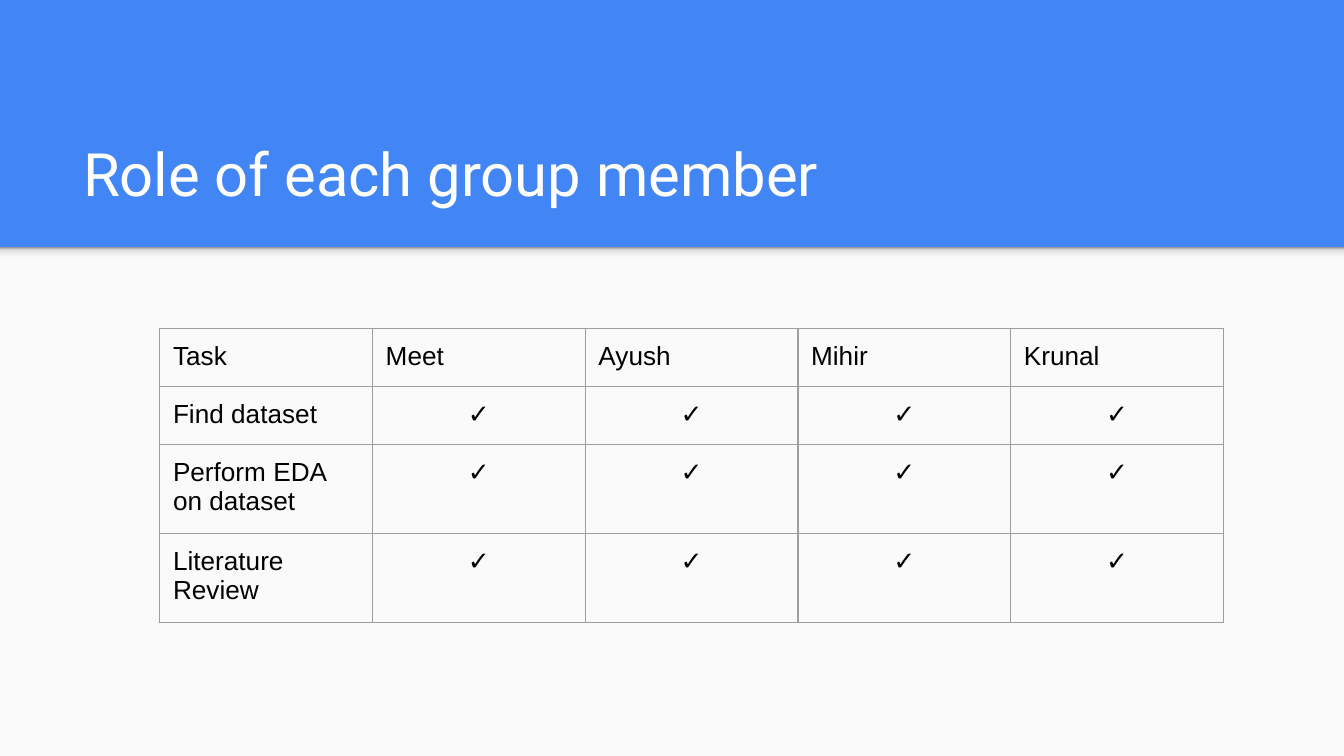
import copy

import pptx
import pptx.dml.color
import pptx.enum.shapes
import pptx.enum.text
import pptx.oxml
import pptx.oxml.ns
import pptx.util

Cm, Pt = pptx.util.Cm, pptx.util.Pt
ALIGN = pptx.enum.text.PP_ALIGN

SLIDE_WIDTH, SLIDE_HEIGHT = 25.4, 14.29
BANNER_HEIGHT = 4.67
INSET = 0.25
MARGINS = dict.fromkeys(
    ("margin_left", "margin_top", "margin_right", "margin_bottom"), Cm(INSET))

MEMBERS = ["Meet", "Ayush", "Mihir", "Krunal"]
TASKS = ["Find dataset", "Perform EDA on dataset", "Literature Review"]
ROLES = [["Task", *MEMBERS]] + [[task] + ["✓"] * len(MEMBERS) for task in TASKS]

# Position from bottom to top, colour
SHADOW_STOPS = [(0, "F9F9F9"), (0.36, "F9F9F9"), (0.8, "DEDEDE"), (1, "999999")]


def color(value):
    return pptx.dml.color.RGBColor.from_string(value)


def apply_format(target, values):
    for name, value in values.items():
        setattr(target, name, value)


def write(paragraph, text, font, size, ink, align=ALIGN.LEFT):
    paragraph.alignment = align
    run = paragraph.add_run()
    run.text = text
    apply_format(run.font, {"name": font, "size": Pt(size)})
    run.font.color.rgb = color(ink)


def add_panel(slide, left, top, width, height):
    panel = slide.shapes.add_shape(
        pptx.enum.shapes.MSO_SHAPE.RECTANGLE, Cm(left), Cm(top), Cm(width), Cm(height))
    panel.shadow.inherit = False
    panel.line.fill.background()
    return panel


def add_body(slide, left, top, width, height):
    """Light content area with a soft shadow along its top edge."""
    area = add_panel(slide, left, top, width, height)
    area.fill.solid()
    area.fill.fore_color.rgb = color("FAFAFA")

    shadow = add_panel(slide, left, top, width, 0.3)
    shadow.fill.gradient()
    shadow.fill.gradient_angle = 90
    stop_list = shadow._element.spPr.find(".//" + pptx.oxml.ns.qn("a:gsLst"))
    while len(stop_list) < len(SHADOW_STOPS):
        stop_list.append(copy.deepcopy(stop_list[0]))
    for stop, (position, tint) in zip(shadow.fill.gradient_stops, SHADOW_STOPS):
        stop.position = position
        stop.color.rgb = color(tint)


def add_title(slide, left, top, width, height):
    title = slide.shapes.add_textbox(Cm(left), Cm(top), Cm(width), Cm(height)).text_frame
    apply_format(title, {
        **MARGINS,
        "word_wrap": True,
        "vertical_anchor": pptx.enum.text.MSO_ANCHOR.BOTTOM,
    })
    write(title.paragraphs[0], "Role of each group member", "Roboto", 32, "FFFFFF")


def add_borders(cell, line_color, width):
    properties = cell._tc.get_or_add_tcPr()
    for index, side in enumerate(("lnL", "lnR", "lnT", "lnB")):
        properties.insert(index, pptx.oxml.parse_xml(
            f'<a:{side} {pptx.oxml.ns.nsdecls("a")} w="{Pt(width)}">'
            f'<a:solidFill><a:srgbClr val="{line_color}"/></a:solidFill></a:{side}>'))


def add_roles_table(slide, left, top, width, height):
    table = slide.shapes.add_table(
        len(ROLES), len(ROLES[0]), Cm(left), Cm(top), Cm(width), Cm(height)).table
    apply_format(table, {"first_row": False, "horz_banding": False})
    for row, texts in enumerate(ROLES):
        for column, text in enumerate(texts):
            cell = table.cell(row, column)
            apply_format(cell, MARGINS)
            cell.fill.background()
            add_borders(cell, "9E9E9E", 0.75)
            align = ALIGN.CENTER if row and column else ALIGN.LEFT
            write(cell.text_frame.paragraphs[0], text, "Arial", 14, "000000", align)


def main():
    deck = pptx.Presentation()
    apply_format(deck, {"slide_width": Cm(SLIDE_WIDTH), "slide_height": Cm(SLIDE_HEIGHT)})
    slide = deck.slides.add_slide(deck.slide_layouts[6])
    slide.background.fill.solid()
    slide.background.fill.fore_color.rgb = color("4285F4")

    add_body(slide, 0, BANNER_HEIGHT, SLIDE_WIDTH, SLIDE_HEIGHT - BANNER_HEIGHT)
    add_title(slide, 1.32, 2.06, 22.83, 2.13)
    add_roles_table(slide, 3.02, 6.21, 20.1, 4.24)
    deck.save("out.pptx")


if __name__ == "__main__":
    main()
